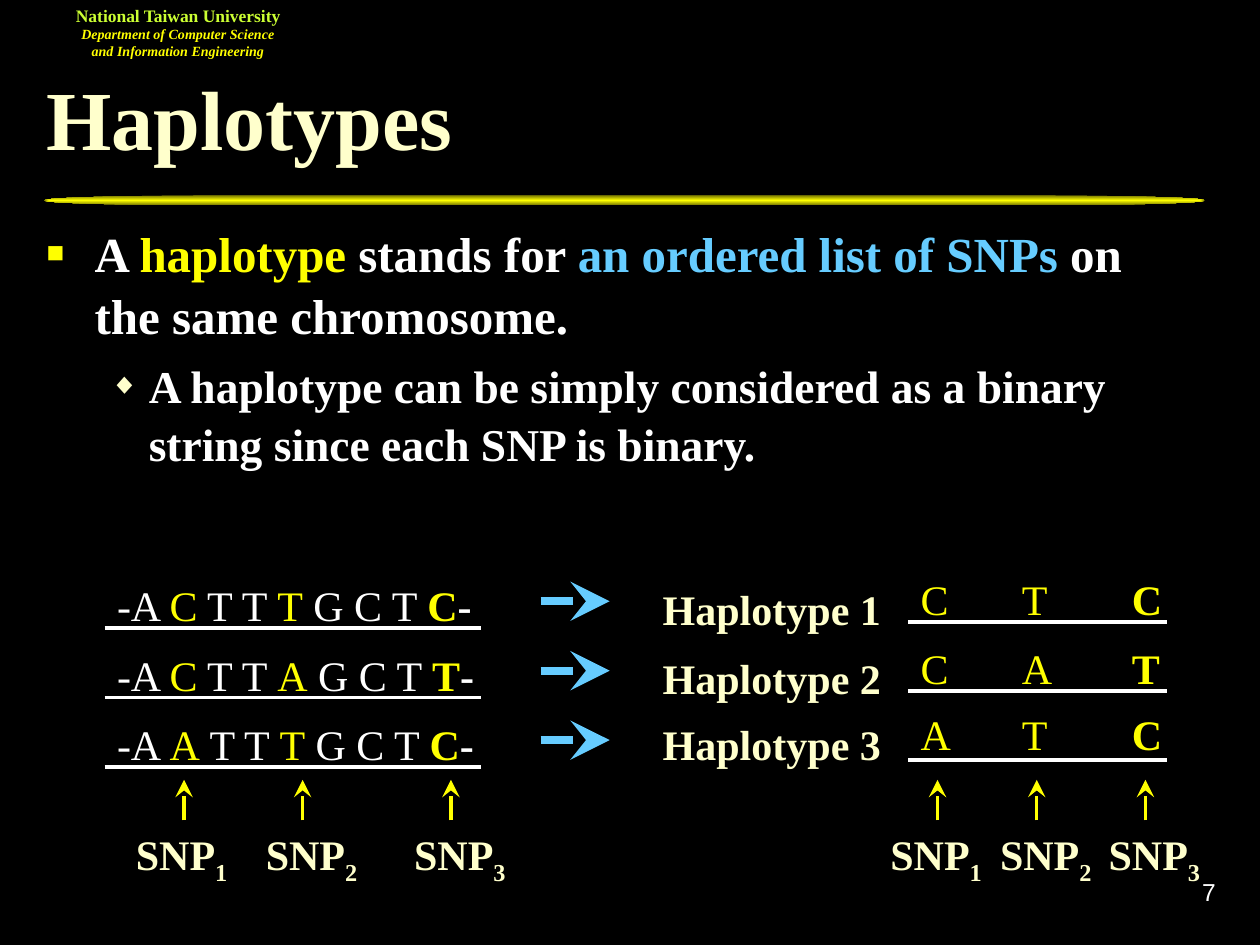
import pptx
import pptx.util
import pptx.dml.color
import pptx.enum.shapes
import pptx.enum.text
import pptx.oxml.ns
from lxml import etree

Cm, Pt = pptx.util.Cm, pptx.util.Pt
ALIGN = pptx.enum.text.PP_ALIGN
ANCHOR = pptx.enum.text.MSO_ANCHOR
SERIF = "Times New Roman"
BLACK, WHITE, YELLOW, CREAM, BLUE, LIME = (
    "000000", "FFFFFF", "FFFF00", "FFFFCC", "66CCFF", "CCFF33")

# Runs are (text, colour) pairs.
UNIVERSITY = [("National Taiwan University", LIME)]
DEPARTMENT = [("Department of Computer Science and Information Engineering", YELLOW)]
TITLE = [("Haplotypes", CREAM)]
DEFINITION = [("A ", WHITE), ("haplotype", YELLOW), (" stands for ", WHITE),
              ("an ordered list of SNPs", BLUE), (" on the same chromosome.", WHITE)]
REMARK = [("A haplotype can be simply considered as a binary string "
           "since each SNP is binary.", WHITE)]

HAPLOTYPES = ["CTC", "CAT", "ATC"]
LABEL_TOPS = [11.53, 12.93, 14.25]
ROW_PITCH = 1.4
# (label left, arrow x) of each SNP under the sequences and under the haplotypes
SNP_MARKS = [
    [(2.49, 3.71), (5.11, 6.1), (8.1, 9.09)],
    [(17.7, 18.9), (19.91, 20.9), (22.1, 23.09)],
]


def rgb(color):
    return pptx.dml.color.RGBColor.from_string(color)


def sub(parent, tag, **attrs):
    return etree.SubElement(parent, pptx.oxml.ns.qn(tag), attrs)


def add_box(left, top, width, height, inset=(0.25, 0.13), anchor=ANCHOR.TOP):
    tf = s.shapes.add_textbox(Cm(left), Cm(top), Cm(width), Cm(height)).text_frame
    tf.word_wrap = True
    tf.vertical_anchor = anchor
    tf.margin_left = tf.margin_right = Cm(inset[0])
    tf.margin_top = tf.margin_bottom = Cm(inset[1])
    return tf


def write(p, runs, size, bold=True, italic=False, font=SERIF, spacing=None, align=None):
    for text, color in runs:
        r = p.add_run()
        r.text = text
        r.font.name, r.font.size = font, Pt(size)
        r.font.bold, r.font.italic = bold, italic
        r.font.color.rgb = rgb(color)
    if spacing:
        p.line_spacing = spacing
    if align:
        p.alignment = align
    return p.runs


def add_bullet(p, char, color, percent, margin, hanging):
    pPr = p._p.get_or_add_pPr()
    pPr.set("marL", str(Cm(margin)))
    pPr.set("indent", str(-Cm(hanging)))
    sub(sub(pPr, "a:buClr"), "a:srgbClr", val=color)
    sub(pPr, "a:buSzPct", val=str(percent * 1000))
    sub(pPr, "a:buFont", typeface=SERIF)
    sub(pPr, "a:buChar", char=char)


def add_tabs(p, stops):
    tabs = sub(p._p.get_or_add_pPr(), "a:tabLst")
    for stop in stops:
        sub(tabs, "a:tab", pos=str(Cm(stop)), algn="l")


def add_line(x1, y1, x2, y2, color, width, arrow=False):
    line = s.shapes.add_connector(pptx.enum.shapes.MSO_CONNECTOR.STRAIGHT,
                                  Cm(x1), Cm(y1), Cm(x2), Cm(y2))
    line.line.color.rgb = rgb(color)
    line.line.width = Pt(width)
    if arrow:
        sub(line.line._get_or_add_ln(), "a:tailEnd", type="stealth", w="lg", len="lg")
    sub(line._element.spPr, "a:effectLst")


def add_divider():
    sp = s.shapes.add_shape(pptx.enum.shapes.MSO_SHAPE.FLOWCHART_TERMINATOR,
                            Cm(0.89), Cm(3.94), Cm(23.4), Cm(0.2))
    sp.shadow.inherit = False
    sp.line.fill.background()
    sp.fill.gradient()
    for stop, color in zip(sp.fill.gradient_stops, (YELLOW, "767600")):
        stop.color.rgb = rgb(color)
    grad = sp._element.spPr.find(pptx.oxml.ns.qn("a:gradFill"))
    grad.remove(grad.find(pptx.oxml.ns.qn("a:lin")))
    center = dict.fromkeys("ltrb", "50000")
    sub(sub(grad, "a:path", path="rect"), "a:fillToRect", **center)


def add_haplotype_row(i, alleles):
    """Sequence, arrow, label and extracted alleles of one haplotype."""
    shift = i * ROW_PITCH
    first, second, third = alleles
    runs = [("-A ", WHITE), (first, YELLOW), (" T T ", WHITE), (second, YELLOW),
            (" G C T ", WHITE), (third, YELLOW), ("-", WHITE)]
    p = add_box(2.11, 11.46 + shift, 8.2, 1.27).paragraphs[0]
    for r in write(p, runs, 24, bold=False, spacing=1.1)[-2:]:
        r.font.bold = True
    add_line(2.11, 12.66 + shift, 9.7, 12.66 + shift, WHITE, 2.25)
    add_line(10.9, 12.12 + shift, 12.29, 12.12 + shift, BLUE, 4.5, arrow=True)

    top = LABEL_TOPS[i]
    p = add_box(13.11, top, 5.41, 1.27).paragraphs[0]
    write(p, [(f"Haplotype {i + 1}", CREAM)], 24, spacing=1.1)
    p = add_box(18.31, top - 0.2, 5.59, 1.27).paragraphs[0]
    add_tabs(p, [2.04, 4.26])
    runs = [(f"{first}\t{second}\t", YELLOW), (third, YELLOW)]
    write(p, runs, 24, bold=False, spacing=1.1)[-1].font.bold = True
    add_line(18.31, 12.53 + shift, 23.53, 12.53 + shift, WHITE, 2.25)


def add_snp_mark(number, left, x):
    p = add_box(left, 16.46, 2.41, 1.42).paragraphs[0]
    runs = write(p, [("SNP", CREAM), (str(number), CREAM)], 24, spacing=1.1)
    runs[1].font._element.set("baseline", "-25000")
    add_line(x, 16.54, x, 15.72, YELLOW, 2, arrow=True)


prs = pptx.Presentation()
prs.slide_width, prs.slide_height = Cm(25.4), Cm(19.05)
s = prs.slides.add_slide(prs.slide_layouts[6])
s.background.fill.solid()
s.background.fill.fore_color.rgb = rgb(BLACK)

add_divider()
tf = add_box(1.09, -0.08, 5, 1.45, inset=(0.33, 0.18))
write(tf.paragraphs[0], UNIVERSITY, 10, align=ALIGN.CENTER)
write(tf.add_paragraph(), DEPARTMENT, 8, italic=True, align=ALIGN.CENTER)
tf = add_box(19.48, 17.35, 5.28, 1.27, anchor=ANCHOR.MIDDLE)
write(tf.paragraphs[0], [("7", WHITE)], 14, bold=False, font="Arial", align=ALIGN.RIGHT)
tf = add_box(0.69, 1.32, 24.08, 2.59, anchor=ANCHOR.MIDDLE)
write(tf.paragraphs[0], TITLE, 48, spacing=0.7)

tf = add_box(0.69, 4.32, 23.39, 13.59)
p = tf.paragraphs[0]
add_bullet(p, "■", YELLOW, 60, 0.97, 0.97)
write(p, DEFINITION, 28, spacing=1.05)
p = tf.add_paragraph()
p.level = 1
p.space_before = Pt(6.5)
add_bullet(p, "◆", CREAM, 65, 2.06, 0.79)
write(p, REMARK, 26, spacing=1.05)

for i, alleles in enumerate(HAPLOTYPES):
    add_haplotype_row(i, alleles)
for marks in SNP_MARKS:
    for number, (left, x) in enumerate(marks, 1):
        add_snp_mark(number, left, x)

prs.save("out.pptx")
